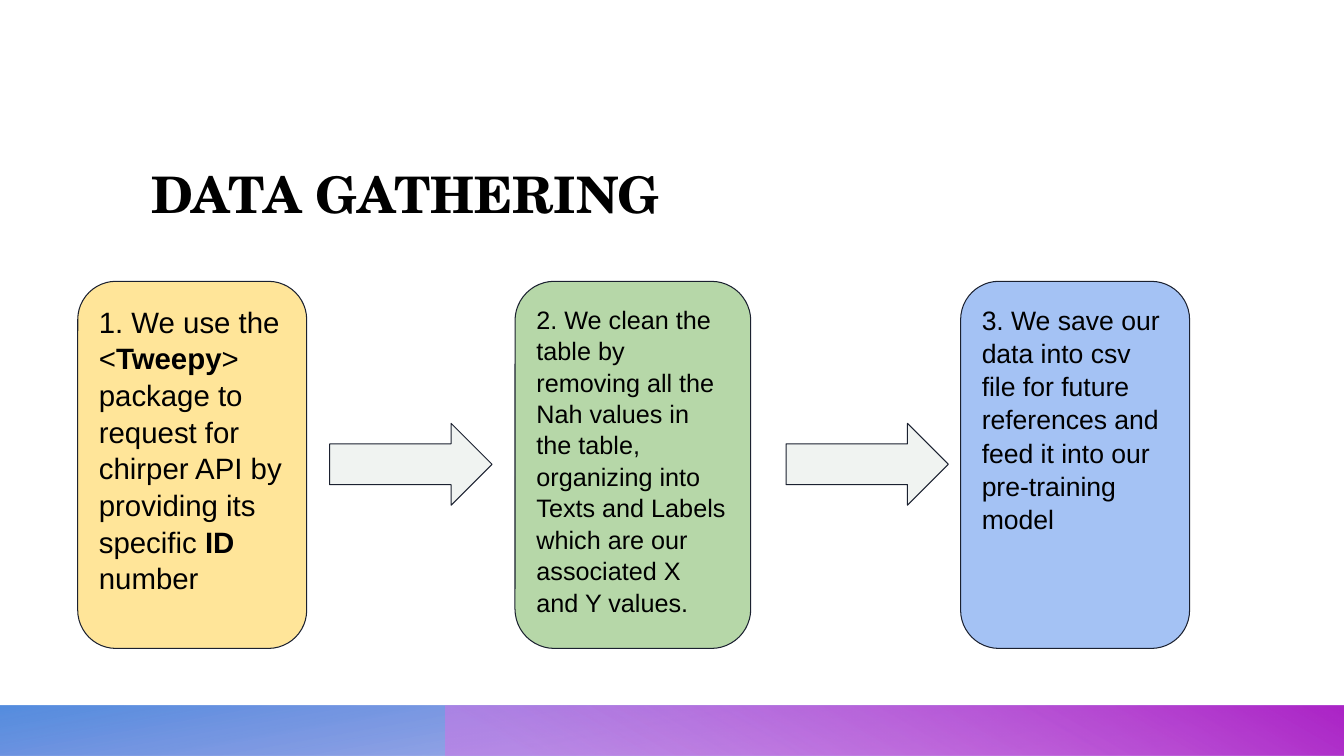
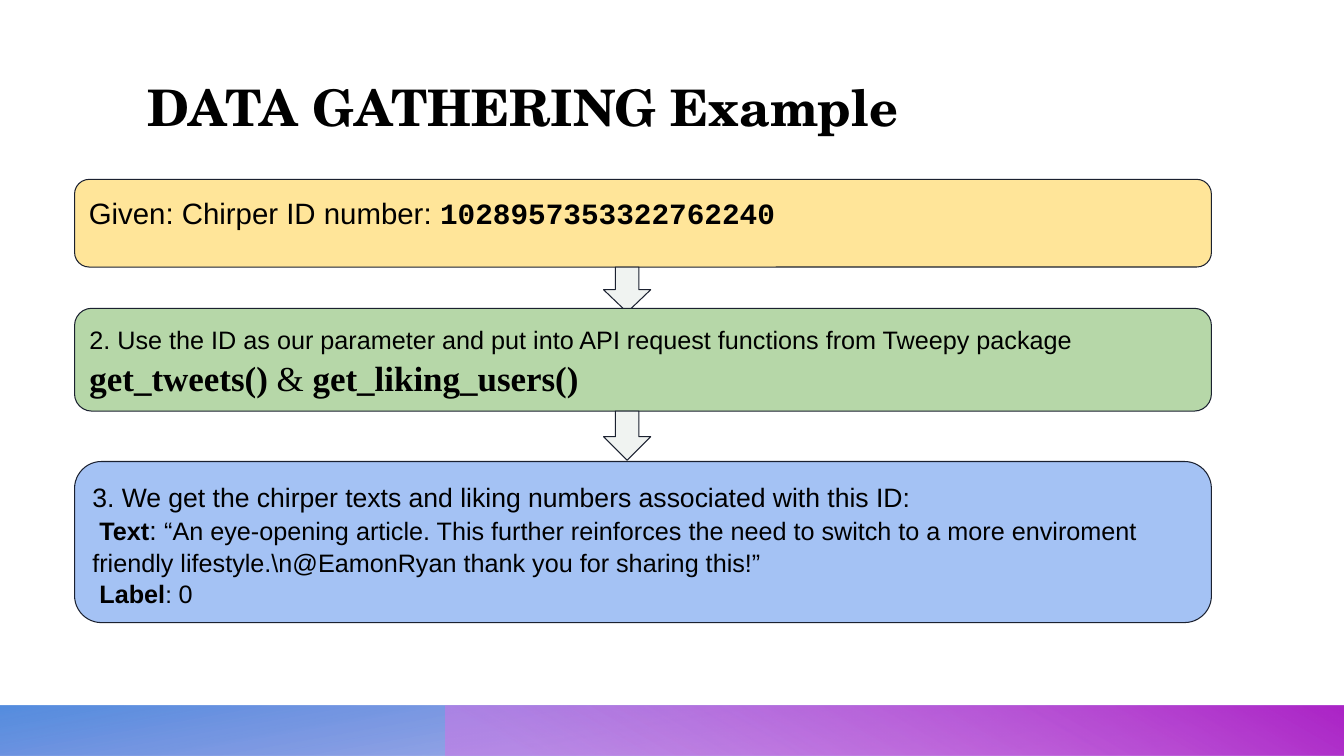
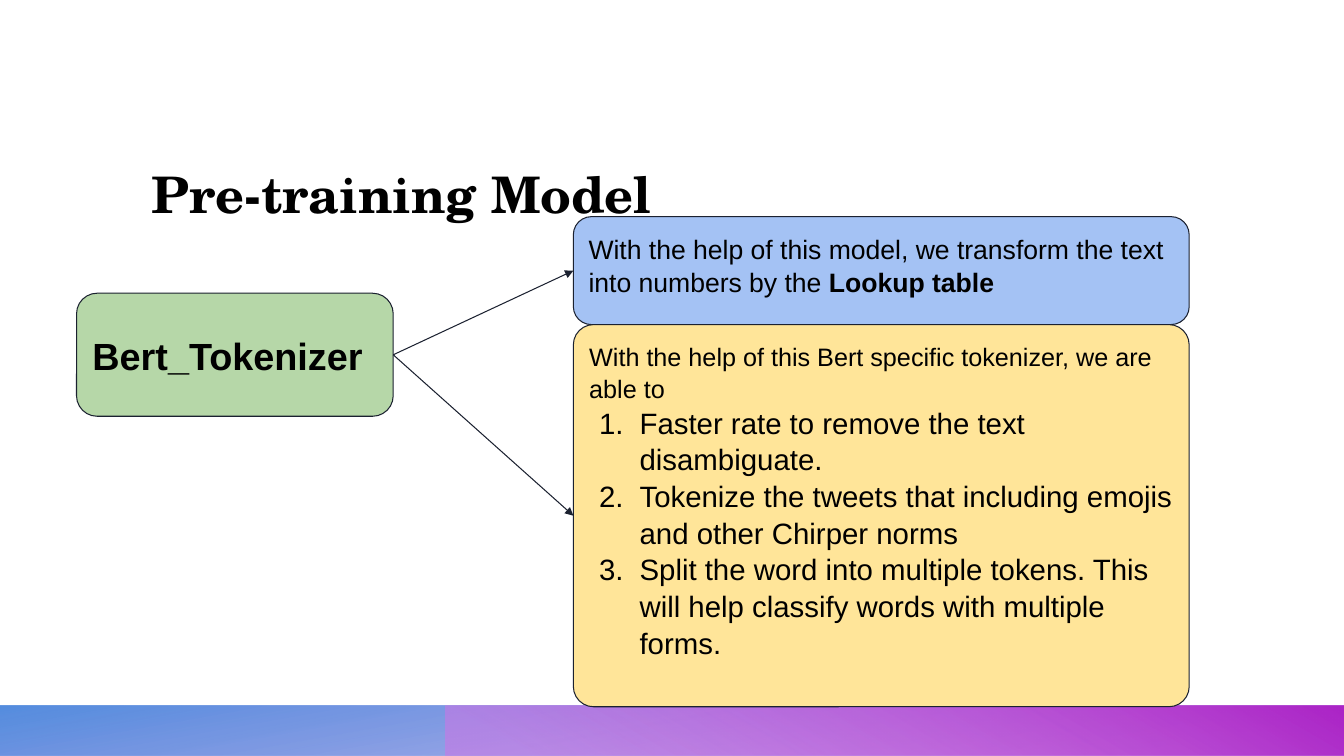
from lxml import etree
from pptx import Presentation
from pptx.dml.color import RGBColor
from pptx.enum.shapes import MSO_CONNECTOR, MSO_SHAPE
from pptx.enum.text import MSO_ANCHOR, PP_ALIGN
from pptx.oxml.ns import qn
from pptx.util import Cm, Pt

RECT = MSO_SHAPE.RECTANGLE
ROUNDED = MSO_SHAPE.ROUNDED_RECTANGLE
RIGHT_ARROW = MSO_SHAPE.RIGHT_ARROW
DOWN_ARROW = MSO_SHAPE.DOWN_ARROW
STRAIGHT = MSO_CONNECTOR.STRAIGHT
TOP, MIDDLE, BOTTOM = MSO_ANCHOR.TOP, MSO_ANCHOR.MIDDLE, MSO_ANCHOR.BOTTOM
LEFT = PP_ALIGN.LEFT

# Shared look
SLIDE_W, SLIDE_H = 33.87, 19.05
BAND_H = 1.27
BLACK, INK, ARROW_GREY = "000000", "1B2130", "F0F3F1"
YELLOW, GREEN, BLUE = "FFE599", "B6D7A8", "A4C2F4"
BODY, TITLE, MONO, SERIF = "Arial", "TeX Gyre Schola", "Courier New", "Times New Roman"
LINE_SPACING = 1.04
INSET = 0.25
LEFT_SITE, RIGHT_SITE = 1, 3

# Gradient stops: position %, colour, opacity %
BLUE_STOPS = [(0, "3A3ACC", 28), (14, "3A3ACC", 28), (100, "377AD9", 85)]
PURPLE_STOPS = [(0, "D273E5", 55), (9, "D273E5", 55), (99, "AC25C7", 100), (100, "AC25C7", 100)]


def rgb(value):
    return RGBColor.from_string(value)


def child(parent, tag, **attributes):
    return etree.SubElement(parent, qn(tag), attributes)


# Text
def add_text(paragraph, text, size=18, font=BODY, bold=False, color=BLACK):
    run = paragraph.add_run()
    run.text = text
    run.font.size = Pt(size)
    run.font.name = font
    run.font.bold = bold
    run.font.color.rgb = rgb(color)


def indent(paragraph, margin, first_line):
    properties = paragraph._p.get_or_add_pPr()
    properties.set("marL", str(Cm(margin)))
    properties.set("indent", str(Cm(first_line)))
    return properties


def number(paragraph):
    properties = indent(paragraph, 1.27, -1.02)
    child(child(properties, "a:buClr"), "a:srgbClr", val=BLACK)
    child(properties, "a:buFont", typeface=BODY)
    child(properties, "a:buAutoNum", type="arabicPeriod")


def set_frame(shape, inset, anchor):
    frame = shape.text_frame
    frame.word_wrap = True
    frame.vertical_anchor = anchor
    frame.margin_left = frame.margin_right = Cm(inset)
    frame.margin_top = frame.margin_bottom = Cm(inset)
    return frame


def write(frame, paragraphs):
    """Each paragraph is a list of (text, format) runs."""
    for index, runs in enumerate(paragraphs):
        paragraph = frame.paragraphs[0] if index == 0 else frame.add_paragraph()
        paragraph.alignment = LEFT
        paragraph.line_spacing = LINE_SPACING
        for text, style in runs:
            add_text(paragraph, text, **style)


# Shapes
def add_shape(slide, kind, left, top, width, height, fill=None):
    shape = slide.shapes.add_shape(kind, Cm(left), Cm(top), Cm(width), Cm(height))
    shape.shadow.inherit = False
    if fill:
        shape.fill.solid()
        shape.fill.fore_color.rgb = rgb(fill)
        shape.line.color.rgb = rgb(INK)
        shape.line.width = Pt(0.75)
    return shape


def add_card(slide, left, top, width, height, fill, paragraphs, anchor=TOP, corner=0.167):
    card = add_shape(slide, ROUNDED, left, top, width, height, fill)
    card.adjustments[0] = corner
    write(set_frame(card, INSET, anchor), paragraphs)
    return card


def add_band(slide, left, stops, angle, rotation=0):
    band = add_shape(slide, RECT, left, SLIDE_H - BAND_H, SLIDE_W - left, BAND_H)
    band.line.fill.background()
    band.rotation = rotation
    band.fill.gradient()
    band.fill.gradient_angle = 360 - angle
    properties = band.element.spPr
    properties.find(qn("a:xfrm")).set("flipH", "1")
    stop_list = properties.find(qn("a:gradFill")).find(qn("a:gsLst"))
    for default_stop in list(stop_list):
        stop_list.remove(default_stop)
    for position, color, opacity in stops:
        stop = child(stop_list, "a:gs", pos=str(position * 1000))
        child(child(stop, "a:srgbClr", val=color), "a:alpha", val=str(opacity * 1000))


def add_link(slide, source, target):
    link = slide.shapes.add_connector(STRAIGHT, 0, 0, 0, 0)
    link.begin_connect(source, RIGHT_SITE)
    link.end_connect(target, LEFT_SITE)
    link.line.color.rgb = rgb(INK)
    link.line.width = Pt(0.75)
    child(link.line._get_or_add_ln(), "a:tailEnd", type="triangle")
    child(link._element.spPr, "a:effectLst")


def new_slide(deck, title, left=3.81, top=2.21):
    slide = deck.slides.add_slide(deck.slide_layouts[6])
    add_band(slide, 0, BLUE_STOPS, 100, rotation=180)
    add_band(slide, 11.22, PURPLE_STOPS, 240)
    heading = slide.shapes.add_textbox(Cm(left), Cm(top), Cm(28.45), Cm(3.43))
    frame = set_frame(heading, 0, BOTTOM)
    add_text(frame.paragraphs[0], title, size=36, font=TITLE, bold=True)
    return slide


# Slides
def gathering_steps(deck):
    slide = new_slide(deck, "DATA GATHERING")
    plain, strong = dict(size=21), dict(size=21, bold=True)
    fetch = [
        ("1. We use the <", plain), ("Tweepy", strong),
        ("> package to request for chirper API by providing its specific ", plain),
        ("ID", strong), (" number", plain),
    ]
    clean = [("2. We clean the table by removing all the Nah values in the table, "
              "organizing into Texts and Labels which are our associated X and Y values.", {})]
    save = [("3. We save our data into csv file for future references and "
             "feed it into our pre-training model", dict(size=19))]
    steps = [(1.96, 5.77, YELLOW, fetch), (12.98, 5.94, GREEN, clean), (24.21, 5.77, BLUE, save)]
    for left, width, fill, runs in steps:
        add_card(slide, left, 7.09, width, 9.25, fill, [runs])
    for left in (8.31, 19.81):
        add_shape(slide, RIGHT_ARROW, left, 10.67, 4.09, 2.06, ARROW_GREY)


def gathering_example(deck):
    slide = new_slide(deck, "DATA GATHERING Example", left=3.73, top=0)
    code = dict(size=25, font=SERIF)
    strong = dict(bold=True)
    given = [[("Given: Chirper ID number: ", dict(size=21)),
              ("1028957353322762240", dict(size=21, font=MONO, bold=True))]]
    request = [
        [("2. Use the ID as our parameter and put into API request functions "
          "from Tweepy package", {})],
        [("get_tweets()", code | strong), (" & ", code), ("get_liking_users()", code | strong)],
    ]
    answer = [
        [("3. We get the chirper texts and liking numbers associated with this ID:",
          dict(size=19))],
        [("Text", strong), (": ", dict(size=19)),
         ("“An eye-opening article. This further reinforces the need to switch to a more "
          "enviroment friendly lifestyle.\\n@EamonRyan thank you for sharing this!”", {})],
        [("Label", strong), (": ", dict(size=17)), ("0", {})],
    ]
    # Top, height, fill, text, and length of the arrow below
    steps = [(4.52, 2.21, YELLOW, given, 1.14), (7.77, 2.59, GREEN, request, 1.24),
             (11.63, 4.06, BLUE, answer, 0)]
    for top, height, fill, paragraphs, arrow_length in steps:
        card = add_card(slide, 1.88, top, 28.65, height, fill, paragraphs)
        if arrow_length:
            add_shape(slide, DOWN_ARROW, 15.21, top + height, 1.19, arrow_length, ARROW_GREY)
    for paragraph in card.text_frame.paragraphs[1:]:
        indent(paragraph, 0, 0.18)


def pretraining_model(deck):
    slide = new_slide(deck, "Pre-training Model")
    tokenizer = add_card(slide, 1.93, 7.39, 7.98, 3.1, GREEN,
                         [[("Bert_Tokenizer", dict(size=27, bold=True))]], anchor=MIDDLE)
    lookup = add_card(slide, 14.45, 5.46, 15.52, 2.72, BLUE, [[
        ("With the help of this model, we transform the text into numbers by the", dict(size=19)),
        (" Lookup table", dict(size=19, bold=True)),
    ]])
    gains = [
        "Faster rate to remove the text disambiguate.",
        "Tokenize the tweets that including emojis and other Chirper norms",
        "Split the word into multiple tokens. This will help classify words with multiple forms.",
    ]
    intro = [("With the help of this Bert specific tokenizer, we are able to", {})]
    benefits = add_card(slide, 14.45, 8.18, 15.52, 9.63, YELLOW,
                        [intro] + [[(gain, dict(size=21))] for gain in gains], corner=0.053)
    for paragraph in benefits.text_frame.paragraphs[1:]:
        number(paragraph)
    for target in (benefits, lookup):
        add_link(slide, tokenizer, target)


def main():
    deck = Presentation()
    deck.slide_width, deck.slide_height = Cm(SLIDE_W), Cm(SLIDE_H)
    gathering_steps(deck)
    gathering_example(deck)
    pretraining_model(deck)
    deck.save("out.pptx")


if __name__ == "__main__":
    main()
